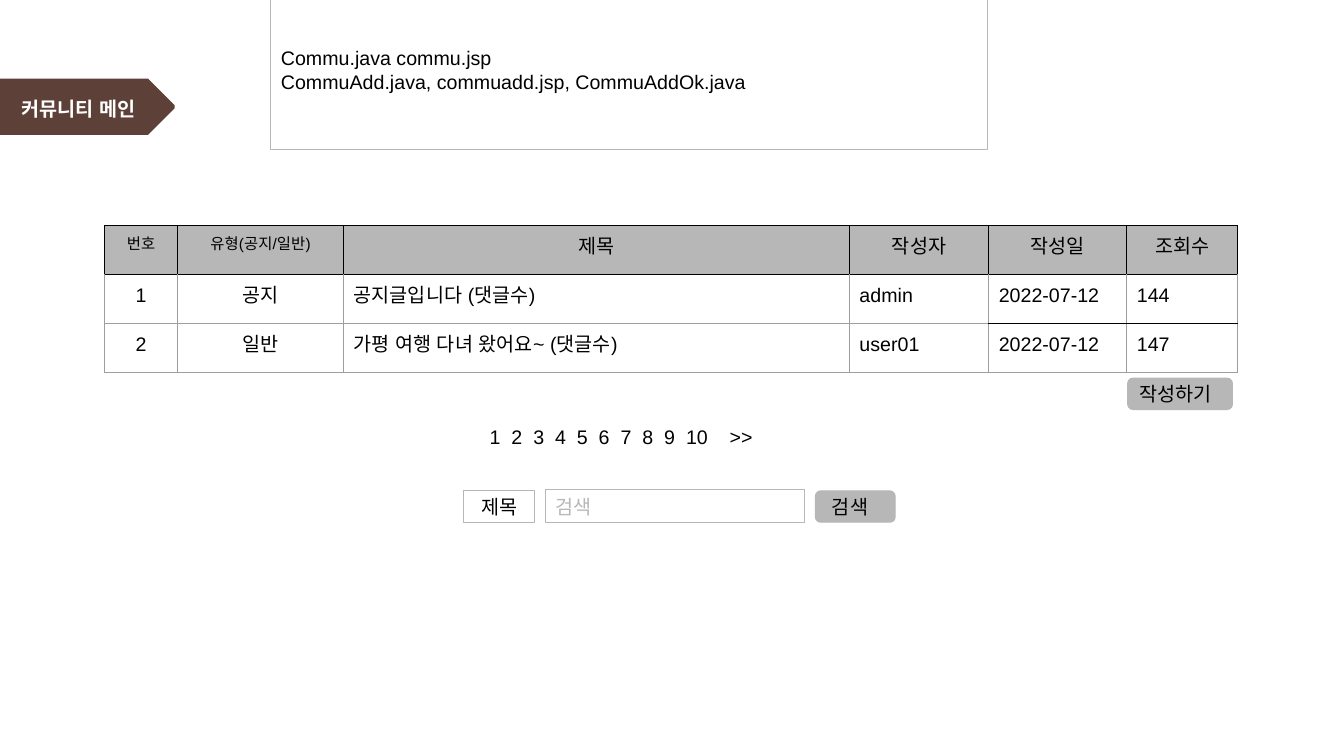
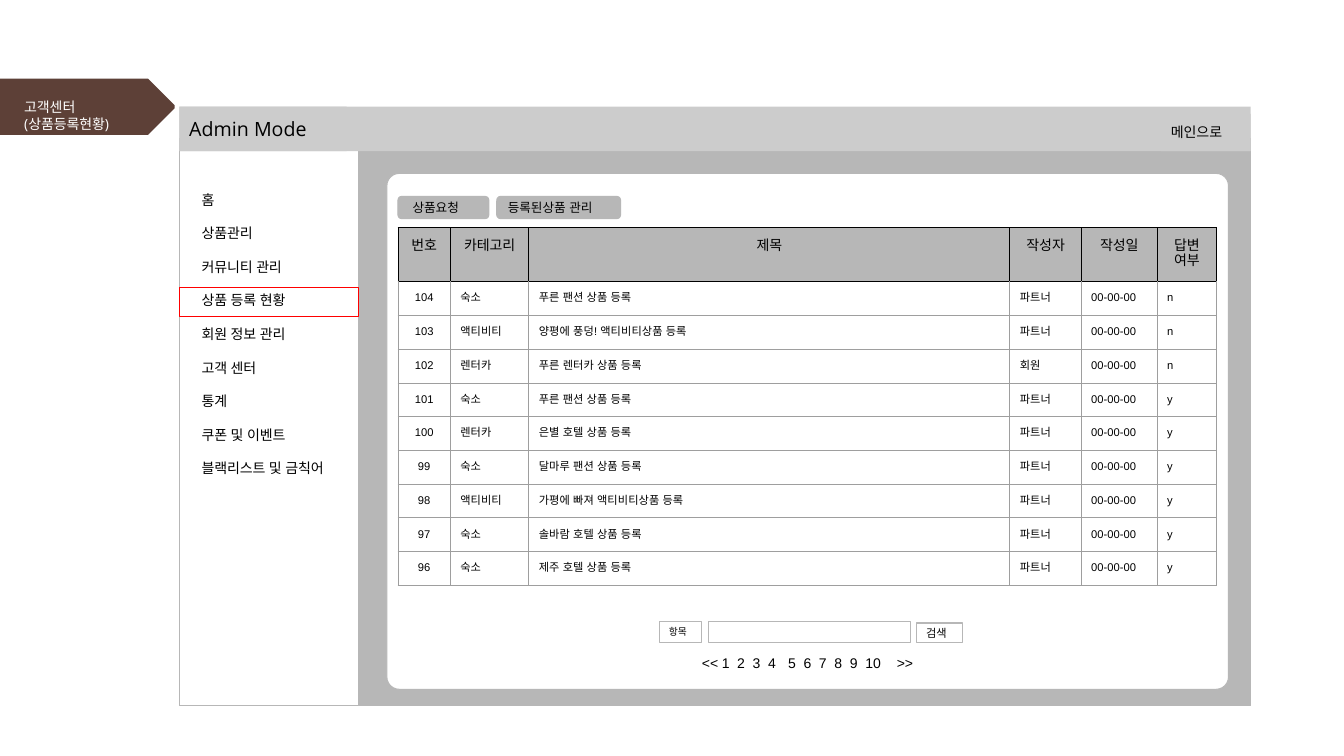
from lxml import etree
from pptx import Presentation
from pptx.dml.color import RGBColor
from pptx.enum.shapes import MSO_SHAPE
from pptx.enum.text import MSO_ANCHOR, MSO_AUTO_SIZE, PP_ALIGN
from pptx.oxml.ns import qn
from pptx.util import Cm, Pt

RECTANGLE, ROUNDED = MSO_SHAPE.RECTANGLE, MSO_SHAPE.ROUNDED_RECTANGLE
TOP, MIDDLE = MSO_ANCHOR.TOP, MSO_ANCHOR.MIDDLE
LEFT, CENTER = PP_ALIGN.LEFT, PP_ALIGN.CENTER
NO_AUTOFIT = MSO_AUTO_SIZE.NONE

COLORS = {
    "brown": "5D4037",
    "black": "000000",
    "white": "FFFFFF",
    "gray": "B7B7B7",
    "bar": "CCCCCC",
    "grid": "9E9E9E",
    "red": "FF0000",
}
BODY_FONT, TITLE_FONT = "Arial", "Open Sans"
INSET = 0.25
RULE_WIDTH = Pt(0.75)
TITLE_ONLY = 5

POST_HEADER = ["번호", "유형(공지/일반)", "제목", "작성자", "작성일", "조회수"]
POSTS = [
    ["1", "공지", "공지글입니다 (댓글수)", "admin", "2022-07-12", "144"],
    ["2", "일반", "가평 여행 다녀 왔어요~ (댓글수)", "user01", "2022-07-12", "147"],
]
REQUEST_HEADER = ["번호", "카테고리", "제목", "작성자", "작성일", "답변 여부"]
REQUESTS = [
    ("숙소", "푸른 팬션 상품 등록", "파트너", "n"),
    ("액티비티", "양평에 풍덩! 액티비티상품 등록", "파트너", "n"),
    ("렌터카", "푸른 렌터카 상품 등록", "회원", "n"),
    ("숙소", "푸른 팬션 상품 등록", "파트너", "y"),
    ("렌터카", "은별 호텔 상품 등록", "파트너", "y"),
    ("숙소", "달마루 팬션 상품 등록", "파트너", "y"),
    ("액티비티", "가평에 빠져 액티비티상품 등록", "파트너", "y"),
    ("숙소", "솔바람 호텔 상품 등록", "파트너", "y"),
    ("숙소", "제주 호텔 상품 등록", "파트너", "y"),
]
FIRST_REQUEST = 104
MENU = ["홈", "상품관리", "커뮤니티 관리", "상품 등록 현황", "회원 정보 관리",
        "고객 센터", "통계", "쿠폰 및 이벤트", "블랙리스트 및 금칙어"]
PAGE_NUMBERS = [str(number) for number in range(1, 11)]


def rgb(name):
    return RGBColor.from_string(COLORS[name])


def set_attributes(target, values):
    for name, value in values.items():
        setattr(target, name, value)


def write(frame, lines, size, font=BODY_FONT, color="black", bold=False,
          align=LEFT, leading=None, gap=0):
    for index, line in enumerate(lines):
        para = frame.paragraphs[0] if index == 0 else frame.add_paragraph()
        spacing = Pt(leading) if leading else None
        set_attributes(para, {"alignment": align, "line_spacing": spacing,
                              "space_before": Pt(0), "space_after": Pt(gap)})
        span = para.add_run()
        span.text = line
        set_attributes(span.font, {"name": font, "size": Pt(size), "bold": bold})
        span.font.color.rgb = rgb(color)
        etree.SubElement(span._r.get_or_add_rPr(), qn("a:ea"), typeface=font)


def format_frame(frame, anchor, left=INSET, vertical=0):
    set_attributes(frame, {
        "word_wrap": True, "auto_size": NO_AUTOFIT, "vertical_anchor": anchor,
        "margin_left": Cm(left), "margin_right": Cm(INSET),
        "margin_top": Cm(vertical), "margin_bottom": Cm(vertical),
    })


def paint(shape, fill, line):
    shape.shadow.inherit = False
    if fill:
        shape.fill.solid()
        shape.fill.fore_color.rgb = rgb(fill)
    else:
        shape.fill.background()
    if line:
        shape.line.color.rgb = rgb(line)
        shape.line.width = RULE_WIDTH
    else:
        shape.line.fill.background()


def add_box(shapes, place, fill="white", line="gray", kind=RECTANGLE, corner=0.167):
    box = shapes.add_shape(kind, *map(Cm, place))
    paint(box, fill, line)
    if kind == ROUNDED:
        box.adjustments[0] = corner
    return box


def add_label(shapes, place, lines, size, left=INSET, fill="white", line="gray",
              kind=RECTANGLE, **style):
    box = add_box(shapes, place, fill, line, kind)
    format_frame(box.text_frame, MIDDLE, left)
    write(box.text_frame, lines, size, **style)
    return box


def add_button(shapes, place, caption, size, left=INSET):
    add_label(shapes, place, [caption], size, left, fill="gray", kind=ROUNDED)


def add_heading(shapes, place, caption, size):
    box = add_box(shapes, place, "bar", None)
    format_frame(box.text_frame, TOP, vertical=INSET)
    write(box.text_frame, [caption], size, font=TITLE_FONT, leading=1.2 * size)


def add_pager(shapes, place, labels, stops, size, left):
    box = add_label(shapes, place, ["\t".join(labels)], size, left, line="white")
    properties = box.text_frame.paragraphs[0]._p.get_or_add_pPr()
    tabs = etree.SubElement(properties, qn("a:tabLst"))
    for stop in stops:
        etree.SubElement(tabs, qn("a:tab"), pos=str(Cm(stop)), algn="l")


def set_borders(cell, colors):
    properties = cell._tc.get_or_add_tcPr()
    for index, (side, color) in enumerate(colors.items()):
        rule = etree.Element(qn(f"a:{side}"), w=str(RULE_WIDTH))
        fill = etree.SubElement(rule, qn("a:solidFill"))
        etree.SubElement(fill, qn("a:srgbClr"), val=COLORS[color])
        properties.insert(index, rule)


def add_grid(page, left, top, widths, heights, rows, header_sizes, size,
             centered, dark_below=()):
    place = map(Cm, (left, top, sum(widths), sum(heights)))
    table = page.shapes.add_table(len(rows), len(widths), *place).table
    set_attributes(table, {"first_row": False, "horz_banding": False})
    for column, width in zip(table.columns, widths):
        column.width = Cm(width)
    for row, height in zip(table.rows, heights):
        row.height = Cm(height)
    for r, values in enumerate(rows):
        for c, value in enumerate(values):
            cell = table.cell(r, c)
            set_attributes(cell, {f"margin_{side}": Cm(INSET)
                                  for side in ("left", "right", "top", "bottom")})
            if r == 0:
                cell.fill.solid()
                cell.fill.fore_color.rgb = rgb("gray")
            else:
                cell.fill.background()
            side = "black" if r == 0 else "grid"
            above = "black" if r <= 1 or (r - 1, c) in dark_below else "grid"
            below = "black" if r == 0 or (r, c) in dark_below else "grid"
            set_borders(cell, {"lnL": side, "lnR": side, "lnT": above, "lnB": below})
            align = CENTER if r == 0 or c in centered else LEFT
            write(cell.text_frame, [value], header_sizes[c] if r == 0 else size,
                  align=align)


def add_layout_tag(layout, page):
    builder = page.shapes.build_freeform(Cm(0), Cm(1.98))
    outline = [(3.73, 1.98), (4.4, 2.65), (4.4, 2.73), (3.73, 3.4), (0, 3.4)]
    builder.add_line_segments([(Cm(x), Cm(y)) for x, y in outline])
    tag = builder.convert_to_shape()
    paint(tag, "brown", None)
    layout.shapes.element.append(tag.element)


def set_title(page, place, lines, size, vertical, **style):
    title = page.shapes.title
    set_attributes(title, dict(zip(("left", "top", "width", "height"), map(Cm, place))))
    format_frame(title.text_frame, TOP, vertical=vertical)
    write(title.text_frame, lines, size, font=TITLE_FONT, color="white", **style)


def fill_community(page):
    shapes = page.shapes
    set_title(page, (0, 2.26, 3.96, 1.93), ["커뮤니티 메인"], 14, 0.13,
              bold=True, align=CENTER, leading=18)
    add_grid(page, 2.64, 5.69, [1.83, 4.19, 12.75, 3.51, 3.48, 2.79], [1.23] * 3,
             [POST_HEADER, *POSTS], [11, 11, 14, 14, 14, 14], 14, (0, 1),
             dark_below={(1, 4), (1, 5)})
    add_button(shapes, (28.42, 9.53, 2.64, 0.79), "작성하기", 14)
    step = 0.55
    add_pager(shapes, (11.68, 10.59, 7.87, 0.84), [*PAGE_NUMBERS, ">>"],
              [step * i for i in (*range(1, 10), 11)], 14, 0.66)
    add_label(shapes, (13.74, 12.34, 6.53, 0.84), ["검색"], 14, color="gray")
    add_label(shapes, (11.68, 12.37, 1.78, 0.79), ["제목"], 14, 0.45)
    add_button(shapes, (20.55, 12.37, 2.01, 0.79), "검색", 14, 0.38)
    add_label(shapes, (6.83, -0.25, 18.06, 4.01),
              ["Commu.java commu.jsp", "CommuAdd.java, commuadd.jsp, CommuAddOk.java"], 14)


def add_admin_window(page):
    shapes = page.shapes.add_group_shape().shapes
    left, width, side_width = 4.52, 27, 4.52
    add_box(shapes, (left, 3.48, width, 14.3), "gray")
    add_box(shapes, (left, 3.48, side_width, 14.3))
    menu = shapes.add_textbox(*map(Cm, (4.83, 4.57, 4.22, 7.77))).text_frame
    format_frame(menu, TOP, vertical=INSET)
    write(menu, MENU, 10, font=TITLE_FONT, leading=12, gap=12)
    add_box(shapes, (left, 7.24, side_width, 0.74), None, "red")
    add_box(shapes, (left, 2.69, width, 1.12), "bar", None)
    add_heading(shapes, (left, 2.69, 4.22, 1.12), "Admin Mode", 14)
    add_heading(shapes, (29.26, 2.87, 2.26, 0.94), "메인으로", 10)


def fill_requests(page):
    shapes = page.shapes
    set_title(page, (0.36, 2.24, 3.51, 1.37), ["고객센터", "(상품등록현황)"], 10, INSET,
              align=LEFT, leading=12)
    add_admin_window(page)
    add_box(shapes, (9.75, 4.37, 21.21, 13), kind=ROUNDED, corner=0.024)
    step = 0.39
    stops = [0.5 + step * i for i in range(4)] + [2.17 + step * i for i in range(6)]
    add_pager(shapes, (17.15, 16.33, 6.43, 0.74), ["<<", *PAGE_NUMBERS, ">>"],
              [*stops, 4.91], 10, 0.54)
    rows = [[str(FIRST_REQUEST - i), kind, subject, writer, "00-00-00", answered]
            for i, (kind, subject, writer, answered) in enumerate(REQUESTS)]
    add_grid(page, 10.03, 5.74, [1.32, 1.98, 12.12, 1.8, 1.91, 1.5],
             [1.36] + [0.85] * len(rows), [REQUEST_HEADER, *rows], [10] * 6, 8, (0,))
    add_box(shapes, (17.86, 15.67, 5.08, 0.51))
    add_label(shapes, (16.61, 15.67, 1.07, 0.51), ["항목"], 7)
    add_label(shapes, (23.09, 15.7, 1.17, 0.48), ["검색"], 8)
    add_button(shapes, (10.03, 4.95, 2.29, 0.56), "상품요청", 9, 0.34)
    add_button(shapes, (12.52, 4.95, 3.12, 0.56), "등록된상품 관리", 9)


def main():
    deck = Presentation()
    set_attributes(deck, {"slide_width": Cm(33.87), "slide_height": Cm(19.05)})
    layout = deck.slide_layouts[TITLE_ONLY]
    community = deck.slides.add_slide(layout)
    requests = deck.slides.add_slide(layout)
    add_layout_tag(layout, community)
    fill_community(community)
    fill_requests(requests)
    deck.save("out.pptx")


if __name__ == "__main__":
    main()
